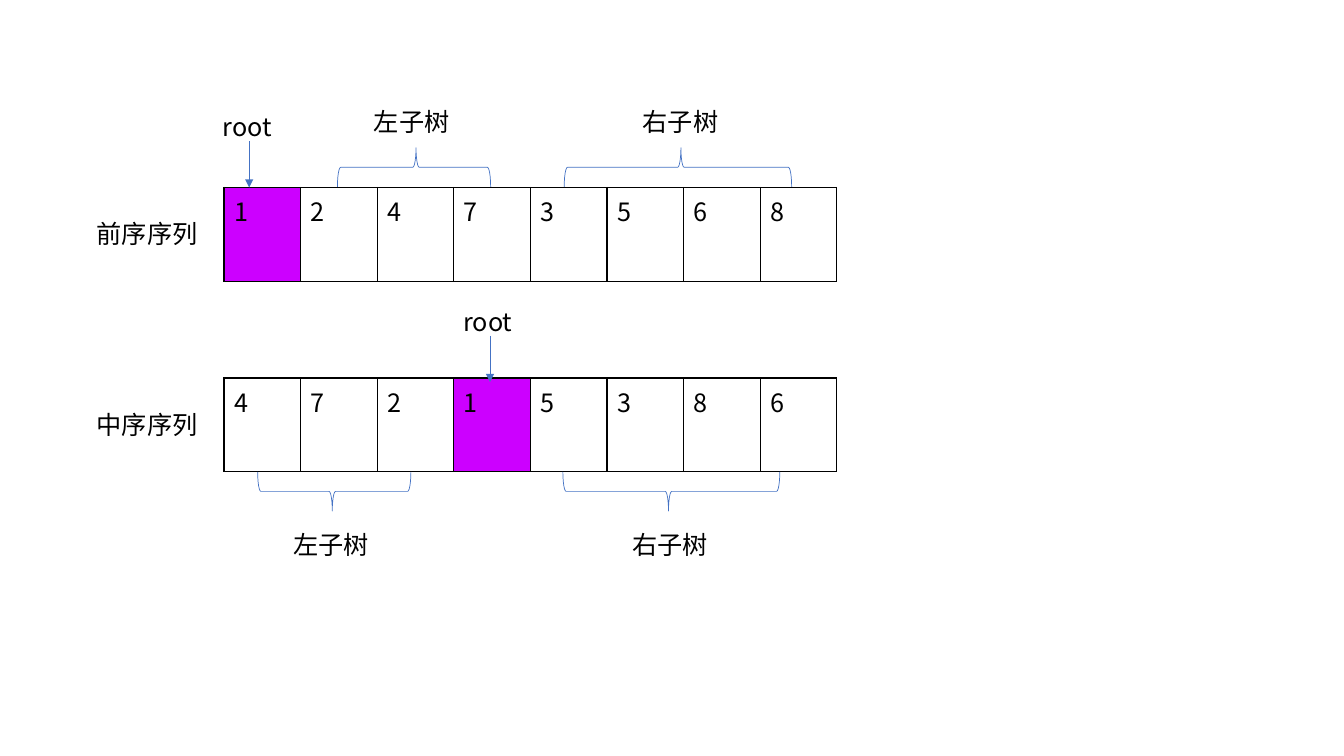
from dataclasses import dataclass

from lxml.etree import SubElement
from pptx import Presentation
from pptx.dml.color import RGBColor
from pptx.enum.shapes import MSO_CONNECTOR as Connector, MSO_SHAPE as Shape
from pptx.enum.text import MSO_AUTO_SIZE as AutoSize
from pptx.oxml.ns import qn
from pptx.util import Pt


@dataclass(frozen=True)
class Theme:
    font: str = "Noto Sans CJK SC"
    size: float = 18
    ink: str = "000000"
    accent: str = "4472C4"
    root_fill: str = "CC00FF"
    border: float = 1
    stroke: float = 0.5


@dataclass(frozen=True)
class Subtree:
    """Horizontal places are measured from the left edge of the array."""
    name: str
    brace_x: float
    brace_width: float
    label_x: float
    label_width: float


@dataclass(frozen=True)
class Sequence:
    name: str
    values: str
    root_x: float
    root_tip: float
    brace_y: float
    subtree_label_y: float
    braces_above: bool
    subtrees: tuple


THEME = Theme()
ARRAY_LEFT, ARRAY_WIDTH, ARRAY_HEIGHT = 160, 437.76, 67
LABEL_HEIGHT, BRACE_HEIGHT, ARROW_LENGTH = 29, 28, 33
ROOT = "1"

PREORDER = Sequence(
    "前序序列", "12473568", root_x=18, root_tip=0, brace_y=-28.5,
    subtree_label_y=-61.5, braces_above=True,
    subtrees=(Subtree("左子树", 81, 109.5, 100, 85),
              Subtree("右子树", 243, 162.5, 292, 126)))
INORDER = Sequence(
    "中序序列", "47215386", root_x=190, root_tip=3, brace_y=ARRAY_HEIGHT,
    subtree_label_y=104.5, braces_above=False,
    subtrees=(Subtree("左子树", 24, 109.5, 42.5, 85),
              Subtree("右子树", 242, 155, 284.5, 91.5)))


def style_text(frame):
    for run in frame.paragraphs[0].runs:
        run.font.name = THEME.font
        run.font.size = Pt(THEME.size)
        run.font.color.rgb = RGBColor.from_string(THEME.ink)
        SubElement(run.font._element, qn("a:ea"), typeface=THEME.font)


def add_label(slide, text, left, top, width):
    frame = slide.shapes.add_textbox(
        Pt(left), Pt(top), Pt(width), Pt(LABEL_HEIGHT)).text_frame
    frame.word_wrap = True
    frame.auto_size = AutoSize.SHAPE_TO_FIT_TEXT
    frame.text = text
    style_text(frame)


def style_line(line):
    line.color.rgb = RGBColor.from_string(THEME.accent)
    line.width = Pt(THEME.stroke)


def add_borders(cell):
    properties = cell._tc.get_or_add_tcPr()
    for side in ("a:lnL", "a:lnR", "a:lnT", "a:lnB"):
        edge = SubElement(properties, qn(side), w=str(Pt(THEME.border)))
        SubElement(SubElement(edge, qn("a:solidFill")),
                   qn("a:srgbClr"), val=THEME.ink)


def add_array(slide, values, left, top, width, height):
    table = slide.shapes.add_table(
        1, len(values), Pt(left), Pt(top), Pt(width), Pt(height)).table
    table.first_row = table.horz_banding = False
    for column, value in enumerate(values):
        table.columns[column].width = Pt(width / len(values))
        cell = table.cell(0, column)
        cell.text = value
        style_text(cell.text_frame)
        add_borders(cell)
        if value == ROOT:
            cell.fill.solid()
            cell.fill.fore_color.rgb = RGBColor.from_string(THEME.root_fill)
        else:
            cell.fill.background()


def add_root_pointer(slide, x, tip):
    start = tip - ARROW_LENGTH
    arrow = slide.shapes.add_connector(
        Connector.STRAIGHT, Pt(x), Pt(start), Pt(x), Pt(tip))
    style_line(arrow.line)
    SubElement(arrow.line._get_or_add_ln(), qn("a:tailEnd"), type="triangle")
    SubElement(arrow._element.spPr, qn("a:effectLst"))
    add_label(slide, "root", x - 26, start - 25, 64)


def add_brace(slide, left, top, width, height, above):
    # The brace is drawn upright, then turned about its centre
    brace = slide.shapes.add_shape(
        Shape.RIGHT_BRACE, Pt(left + (width - height) / 2),
        Pt(top + (height - width) / 2), Pt(height), Pt(width))
    brace.rotation = 270 if above else 90
    brace.adjustments[0] = 0.083
    brace.adjustments[1] = 0.513
    brace.shadow.inherit = False
    brace.fill.background()
    style_line(brace.line)


def add_sequence(slide, sequence, left, top, width, height):
    # Array and its name
    add_array(slide, sequence.values, left, top, width, height)
    add_label(slide, sequence.name, left - 98, top + 18.5, 116)

    # Root pointer
    add_root_pointer(slide, left + sequence.root_x, top + sequence.root_tip)

    # Subtree ranges
    for subtree in sequence.subtrees:
        add_brace(slide, left + subtree.brace_x, top + sequence.brace_y,
                  subtree.brace_width, BRACE_HEIGHT, sequence.braces_above)
        add_label(slide, subtree.name, left + subtree.label_x,
                  top + sequence.subtree_label_y, subtree.label_width)


def main():
    deck = Presentation()
    deck.slide_width, deck.slide_height = Pt(960), Pt(540)
    slide = deck.slides.add_slide(deck.slide_layouts[6])
    for sequence, top in ((PREORDER, 134), (INORDER, 270)):
        add_sequence(slide, sequence, ARRAY_LEFT, top,
                     ARRAY_WIDTH, ARRAY_HEIGHT)
    deck.save("out.pptx")


if __name__ == "__main__":
    main()
